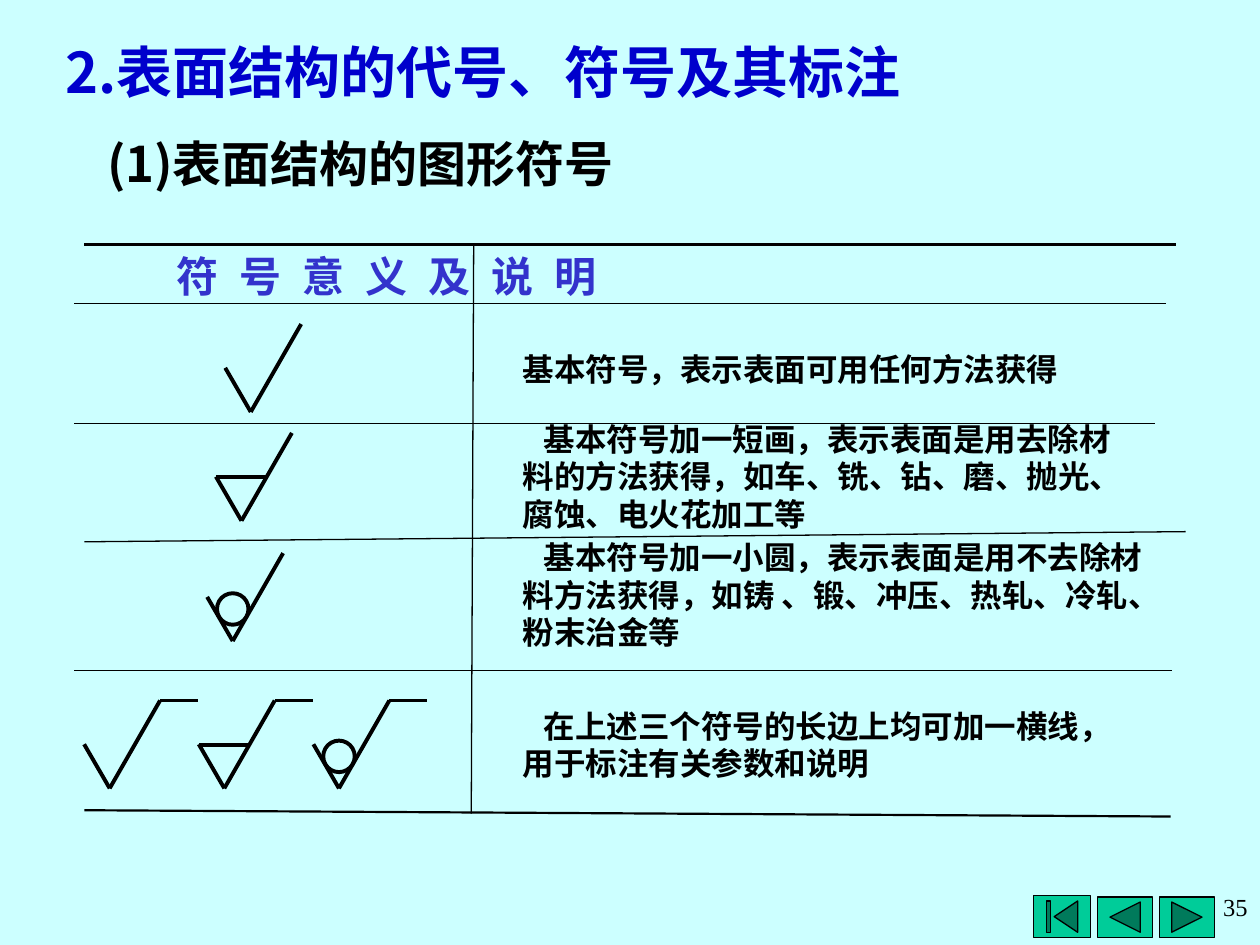
"""Build the slide on graphical symbols for surface texture."""
from lxml.etree import SubElement
from pptx import Presentation
from pptx.dml.color import RGBColor
from pptx.enum.shapes import MSO_CONNECTOR, MSO_SHAPE
from pptx.enum.text import MSO_ANCHOR, PP_ALIGN
from pptx.oxml.ns import qn
from pptx.util import Pt

PAPER = RGBColor(0xCC, 0xFF, 0xFF)
BLACK = RGBColor(0, 0, 0)
HEADING_BLUE = RGBColor(0, 0, 0xCC)
HEADER_BLUE = RGBColor(0x33, 0x33, 0xCC)
BUTTON_GREEN = RGBColor(0, 0xCC, 0x99)
CJK = "Noto Sans CJK SC"

prs = Presentation()
prs.slide_width, prs.slide_height = Pt(720), Pt(540)
slide = prs.slides.add_slide(prs.slide_layouts[5])
slide.background.fill.solid()
slide.background.fill.fore_color.rgb = PAPER
shapes = slide.shapes


def write(box, place, text, size, color=BLACK, face=CJK, indent=0, stops=()):
    box.left, box.top, box.width, box.height = map(Pt, place)
    frame = box.text_frame
    frame.word_wrap = True
    frame.text = text
    para = frame.paragraphs[0]
    para.alignment = PP_ALIGN.LEFT
    para.line_spacing = Pt(size * 1.2)
    props = para._p.get_or_add_pPr()
    props.set("indent", str(Pt(indent)))
    if stops:
        tabs = SubElement(props, qn("a:tabLst"))
        for stop in stops:
            SubElement(tabs, qn("a:tab"), pos=str(Pt(stop)), algn="l")
    font = para.font
    font.name, font.size, font.bold = face, Pt(size), face == CJK
    font.color.rgb = color
    SubElement(font._element, qn("a:ea"), typeface=face)
    return para


def rule(x1, y1, x2, y2, weight):
    line = shapes.add_connector(MSO_CONNECTOR.STRAIGHT, Pt(x1), Pt(y1), Pt(x2), Pt(y2))
    line.line.color.rgb = BLACK
    line.line.width = Pt(weight)
    SubElement(line._element.spPr, qn("a:effectLst"))


subtitle = shapes.title
write(subtitle, (54, 72.7, 612, 41), "(1)表面结构的图形符号", 28)
subtitle.text_frame.vertical_anchor = MSO_ANCHOR.MIDDLE

buttons = [
    (MSO_SHAPE.ACTION_BUTTON_FORWARD_OR_NEXT, 662.4, 512.6, 31.7, 23),
    (MSO_SHAPE.ACTION_BUTTON_BACK_OR_PREVIOUS, 627.1, 512.6, 31.7, 23),
    (MSO_SHAPE.ACTION_BUTTON_BEGINNING, 590.6, 511.9, 32.6, 23.8),
]
for kind, *place in buttons:
    button = shapes.add_shape(kind, *map(Pt, place))
    button.shadow.inherit = False
    button.fill.solid()
    button.fill.fore_color.rgb = BUTTON_GREEN
    button.line.color.rgb = BLACK
    button.line.width = Pt(0.75)

grid = [
    (42.5, 173.5, 666, 173.5, 0.75),
    (42.5, 241.9, 660.2, 241.9, 0.75),
    (48.2, 463, 669, 466.6, 1.25),
    (270.7, 139.7, 269.3, 465, 0.75),
    (48.2, 309.6, 677.5, 303.8, 0.75),
    (42.5, 383, 669.6, 383, 0.75),
    (48.2, 139.7, 671.8, 139.7, 1.25),
]
for ends in grid:
    rule(*ends)

meanings = [
    (196.6, 337, 28.8, 0, "基本符号，表示表面可用任何方法获得"),
    (236.2, 365, 72, 12, "基本符号加一短画，表示表面是用去除材料的方法获得，如车、铣、钻、磨、抛光、腐蚀、电火花加工等"),
    (303.8, 376.6, 72, 12, "基本符号加一小圆，表示表面是用不去除材料方法获得，如铸 、锻、冲压、热轧、冷轧、粉末治金等"),
    (400.3, 357.1, 50.4, 12, "在上述三个符号的长边上均可加一横线，用于标注有关参数和说明"),
]
for top, width, height, indent, meaning in meanings:
    write(shapes.add_textbox(0, 0, 0, 0), (291.6, top, width, height), meaning, 18, indent=indent)

header_stops = [62] + [157 + 34.9 * i for i in range(5)]
write(shapes.add_textbox(0, 0, 0, 0), (93.6, 139.7, 561.6, 36), "符\t号\t意\t义\t及\t说\t明", 24,
      HEADER_BLUE, stops=header_stops)
write(shapes.add_textbox(0, 0, 0, 0), (30.2, 18, 602, 45.4), "2.表面结构的代号、符号及其标注", 32, HEADING_BLUE)

variants = ["basic", "removal", "no removal"]
tips = [(143.3, 235.4), (138, 297.6), (133, 366.3)]
symbols = [(x, y, variant, False) for (x, y), variant in zip(tips, variants)]
symbols += [(62.7 + 65.5 * i, 450.5, variant, True) for i, variant in enumerate(variants)]
for x, y, variant, extended in symbols:
    rule(x, y, x + 28.8, y - 50.2, 2.25)
    rule(x, y, x - 14.6, y - 25.2, 2.25)
    if variant == "removal":
        rule(x - 14.6, y - 25, x + 14.4, y - 25, 2.25)
    if variant == "no removal":
        circle = shapes.add_shape(MSO_SHAPE.OVAL, Pt(x - 9), Pt(y - 27.3), Pt(18), Pt(18))
        circle.shadow.inherit = False
        circle.fill.background()
        circle.line.color.rgb = BLACK
        circle.line.width = Pt(2.25)
    if extended:
        rule(x + 28.8, y - 50.2, x + 50.4, y - 50.2, 2.25)

number = write(shapes.add_textbox(0, 0, 0, 0), (538.6, 506.2, 181.4, 43.9), "35", 14, face="Times New Roman")
number.alignment = PP_ALIGN.RIGHT

prs.save("out.pptx")
